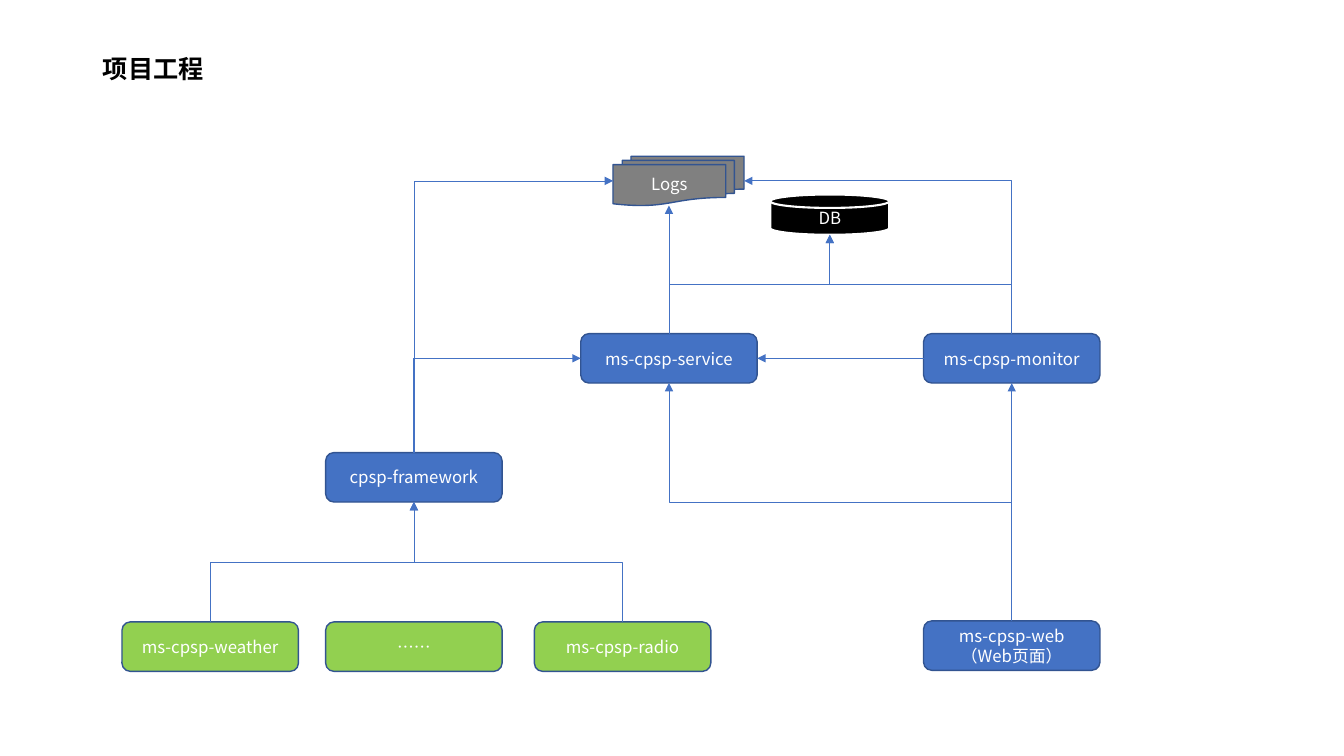
"""Build the project module diagram slide."""
from pptx import Presentation
from pptx import util as u
from pptx.dml.color import RGBColor
from pptx.enum import shapes, text
from pptx.oxml.ns import qn
from lxml import etree

THEME = {
    "font": "Noto Sans CJK SC", "title_size": 18, "label_size": 12,
    "ink": "000000", "paper": "FFFFFF", "core": "4472C4", "plugin": "92D050",
    "log": "808080", "edge": "325491", "edge_width": 1, "disk_width": 1.5,
    "arrow_width": 0.5,
}
TITLE = "项目工程"
BOX = (1.75, 0.49)
KINDS = {
    "core": ("ROUNDED_RECTANGLE", BOX, "edge", "edge_width"),
    "plugin": ("ROUNDED_RECTANGLE", BOX, "edge", "edge_width"),
    "log": ("FLOWCHART_MULTIDOCUMENT", (1.3, 0.49), "edge", "edge_width"),
    "ink": ("FLOWCHART_MAGNETIC_DISK", (1.18, 0.4), "paper", "disk_width"),
}
NODES = {
    "framework": ("cpsp-framework", "core", 3.23, 4.49),
    "service": ("ms-cpsp-service", "core", 5.76, 3.31),
    "monitor": ("ms-cpsp-monitor", "core", 9.16, 3.31),
    "web": ("ms-cpsp-web（Web页面）", "core", 9.16, 6.16),
    "weather": ("ms-cpsp-weather", "plugin", 1.21, 6.17),
    "more": ("……", "plugin", 3.23, 6.17),
    "radio": ("ms-cpsp-radio", "plugin", 5.3, 6.17),
    "db": ("DB", "ink", 7.64, 1.93),
    "logs": ("Logs", "log", 6.08, 1.55),
}
ARROWS = [
    ("radio", "top", "framework", "bottom"),
    ("weather", "top", "framework", "bottom"),
    ("web", "top", "monitor", "bottom"),
    ("web", "top", "service", "bottom"),
    ("framework", "top", "service", "left"),
    ("monitor", "left", "service", "right"),
    ("framework", "top", "logs", "left"),
    ("service", "top", "logs", "bottom"),
    ("monitor", "top", "logs", "right"),
    ("service", "top", "db", "bottom"),
    ("monitor", "top", "db", "bottom"),
]
SIDES = {"top": (0.5, 0), "bottom": (0.5, 1), "left": (0, 0.5), "right": (1, 0.5)}


def color(name):
    return RGBColor.from_string(THEME[name])


def write(tf, words, size, ink, bold, align, spacing=None):
    tf.word_wrap = True
    tf.vertical_anchor = text.MSO_ANCHOR.MIDDLE
    p = tf.paragraphs[0]
    p.alignment, p.line_spacing = align, spacing
    r = p.add_run()
    r.text = words
    for key, value in {"name": THEME["font"], "size": u.Pt(THEME[size]), "bold": bold}.items():
        setattr(r.font, key, value)
    r.font.color.rgb = color(ink)
    etree.SubElement(r.font._element, qn("a:ea")).set("typeface", THEME["font"])


def add_node(slide, words, kind, x, y):
    preset, size, edge, width = KINDS[kind]
    sp = slide.shapes.add_shape(getattr(shapes.MSO_SHAPE, preset),
                                *map(u.Inches, (x, y, *size)))
    sp.shadow.inherit = False
    sp.fill.solid()
    sp.fill.fore_color.rgb = color(kind)
    sp.line.color.rgb = color(edge)
    sp.line.width = u.Pt(THEME[width])
    write(sp.text_frame, words, "label_size", "paper", False, text.PP_ALIGN.CENTER)


def site(node, side):
    _, kind, x, y = NODES[node]
    w, h = KINDS[kind][1]
    fx, fy = SIDES[side]
    if (node, side) == ("logs", "bottom"):
        return site("service", "top")[0], y + h
    return x + w * fx, y + h * fy


def add_arrow(slide, source, leave, target, enter):
    (x1, y1), (x2, y2) = site(source, leave), site(target, enter)
    straight = abs(x1 - x2) < 0.01 or abs(y1 - y2) < 0.01
    style, ends = shapes.MSO_CONNECTOR.STRAIGHT, (x1, y1, x2, y2)
    turn = 1 if x2 > x1 else -1
    if not straight:
        cx, cy = (x1 + x2) / 2, (y1 + y2) / 2
        dx, dy = turn * abs(y2 - y1) / 2, abs(x2 - x1) / 2
        style = shapes.MSO_CONNECTOR.ELBOW
        ends = (cx + dx, cy + dy, cx - dx, cy - dy)
    c = slide.shapes.add_connector(style, *map(u.Inches, ends))
    c.line.color.rgb = color("core")
    c.line.width = u.Pt(THEME["arrow_width"])
    props = c._element.spPr
    if not straight:
        props.find(qn("a:xfrm")).set("rot", str(turn * 90 * 60000 % (360 * 60000)))
        if enter in ("left", "right"):
            props.find(qn("a:prstGeom")).set("prst", "bentConnector2")
    etree.SubElement(c.line._get_or_add_ln(), qn("a:tailEnd")).set("type", "triangle")
    etree.SubElement(props, qn("a:effectLst"))


prs = Presentation()
prs.slide_width, prs.slide_height = u.Inches(13.33), u.Inches(7.5)
s = prs.slides.add_slide(prs.slide_layouts[5])
title = s.shapes.title
for key, value in {"left": 0.92, "top": 0.4, "width": 11.61, "height": 0.59}.items():
    setattr(title, key, u.Inches(value))
write(title.text_frame, TITLE, "title_size", "ink", True, text.PP_ALIGN.LEFT, 0.9)
for node in NODES.values():
    add_node(s, *node)
for arrow in ARROWS:
    add_arrow(s, *arrow)
prs.save("out.pptx")
